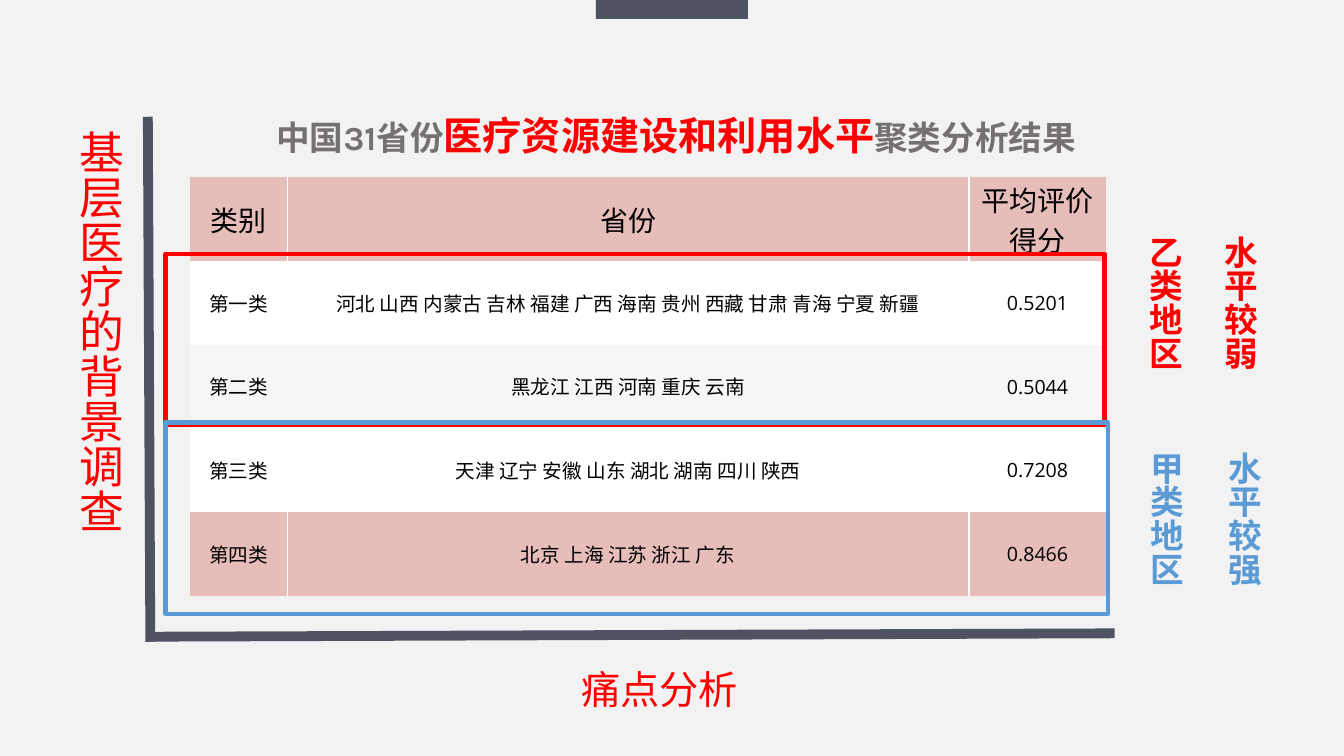
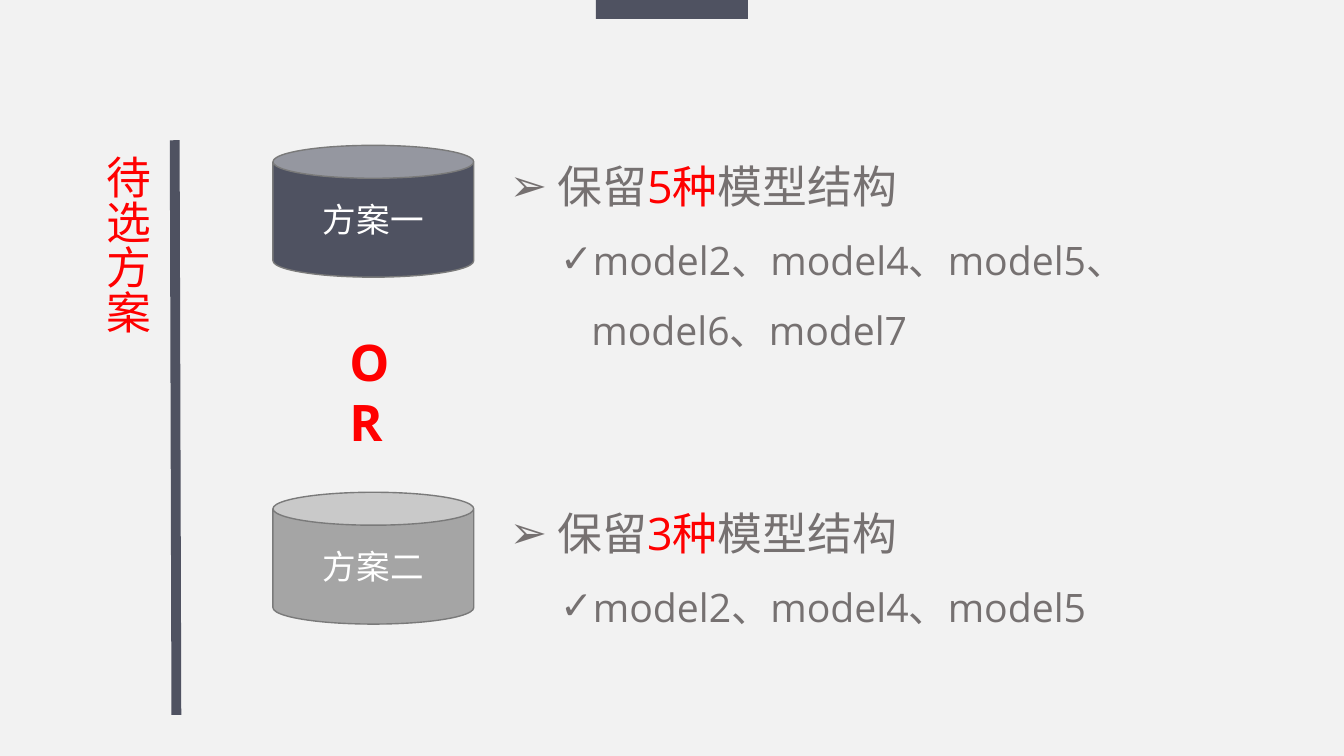
from lxml import etree
from pptx import Presentation
from pptx import util as u
from pptx.dml.color import RGBColor
from pptx.enum import shapes, text
from pptx.oxml import ns

SLATE = RGBColor(0x4F, 0x52, 0x61)
RED = RGBColor(0xFF, 0x00, 0x00)
BLUE = RGBColor(0x5B, 0x9B, 0xD5)
GREY = RGBColor(0x76, 0x71, 0x71)
SILVER = RGBColor(0xA5, 0xA5, 0xA5)
EDGE = RGBColor(0x7A, 0x7A, 0x7A)
ROSE = RGBColor(0xE7, 0xBD, 0xB9)
PALE = RGBColor(0xF6, 0xF6, 0xF6)
PAPER = RGBColor(0xF2, 0xF2, 0xF2)
WHITE = RGBColor(0xFF, 0xFF, 0xFF)
BLACK = RGBColor(0x00, 0x00, 0x00)
HAN = "Noto Sans CJK SC"
BODY = "Open Sans"
COLS, ROWS = 160, 90
PLAIN = "{2D5ABB26-0587-4C30-8999-92F81FD0307C}"
MID = text.PP_ALIGN.CENTER
LEFT = text.PP_ALIGN.LEFT


class Deck:
    """Hold the style and the current slide, on a grid of 160 columns by 90 rows."""

    def __init__(self):
        self.prs = Presentation()
        self.prs.slide_width = u.Inches(13.33)
        self.prs.slide_height = u.Inches(7.5)
        fill = self.prs.slide_master.background.fill
        fill.solid()
        fill.fore_color.rgb = PAPER

    def col(self, n):
        return round(self.prs.slide_width * n / COLS)

    def row(self, n):
        return round(self.prs.slide_height * n / ROWS)

    def area(self, x, y, w, h):
        return self.col(x), self.row(y), self.col(w), self.row(h)

    def page(self):
        self.slide = self.prs.slides.add_slide(self.prs.slide_layouts[6])
        wide = 18.1
        self.shape((COLS - wide) / 2, 0, wide, 2.25, fill=SLATE)

    def node(self, parent, tag, **attrs):
        return etree.SubElement(parent, ns.qn(tag), attrs)

    def run(self, para, words, size, color, font=BODY, bold=False):
        run = para.add_run()
        run.text = words
        run.font.size = u.Pt(size)
        run.font.bold = bold
        run.font.color.rgb = color
        run.font.name = font
        self.node(run.font._element, "a:ea", typeface=HAN)

    def shape(self, x, y, w, h, kind=shapes.MSO_SHAPE.RECTANGLE,
              fill=None, line=None, width=1):
        item = self.slide.shapes.add_shape(kind, *self.area(x, y, w, h))
        item.shadow.inherit = False
        if fill is None:
            item.fill.background()
        else:
            item.fill.solid()
            item.fill.fore_color.rgb = fill
        if line is None:
            item.line.fill.background()
        else:
            item.line.color.rgb = line
            item.line.width = u.Pt(width)
        return item

    def can(self, x, y, words, fill):
        item = self.shape(x, y, 23.9, 15.7, shapes.MSO_SHAPE.CAN, fill, EDGE)
        item.text_frame.vertical_anchor = text.MSO_ANCHOR.MIDDLE
        para = item.text_frame.paragraphs[0]
        para.alignment = MID
        self.run(para, words, 24, WHITE)

    def line(self, x1, y1, x2, y2):
        item = self.slide.shapes.add_connector(
            shapes.MSO_CONNECTOR.STRAIGHT,
            self.col(x1), self.row(y1), self.col(x2), self.row(y2))
        item.line.color.rgb = SLATE
        item.line.width = u.Pt(7)
        self.node(item._element.spPr, "a:effectLst")

    def frame(self, x, y, w, h, wrap=True):
        box = self.slide.shapes.add_textbox(*self.area(x, y, w, h))
        frame = box.text_frame
        frame.word_wrap = wrap
        frame.auto_size = text.MSO_AUTO_SIZE.SHAPE_TO_FIT_TEXT
        return frame

    def label(self, x, y, w, h, runs, align=LEFT, wrap=True, tall=False):
        frame = self.frame(x, y, w, h, wrap)
        if tall:
            frame._txBody.bodyPr.set("vert", "eaVert")
        para = frame.paragraphs[0]
        para.alignment = align
        for part in runs:
            self.run(para, *part)

    def title(self, x, y, words, align=LEFT):
        self.label(x, y, 8.9, 50.5, [(words, 32, RED, HAN)], align, tall=True)

    def tag(self, x, y, words, color):
        self.label(x, y, 7.2, 19.9, [(words, 24, color, "Arial", True)], tall=True)

    def bullet(self, para, mark, left):
        para.line_spacing = 1.5
        props = para._p.get_or_add_pPr()
        props.set("marL", str(u.Inches(left)))
        props.set("indent", str(u.Inches(-0.31)))
        self.node(props, "a:buFont", typeface="Arial")
        self.node(props, "a:buChar", char=mark)

    def plan(self, y, h, count, models):
        frame = self.frame(59.5, y, 80.5, h)
        head = frame.paragraphs[0]
        self.bullet(head, "➢", 0.31)
        for words, color in ((" 保留", GREY), (count, RED), ("模型结构", GREY)):
            self.run(head, words, 32, color)
        item = frame.add_paragraph()
        item.level = 1
        self.bullet(item, "✓", 0.81)
        self.run(item, "、".join(models), 28, GREY)

    def cell(self, cell, words, size, fill, sides):
        cell.fill.solid()
        cell.fill.fore_color.rgb = fill
        cell.vertical_anchor = text.MSO_ANCHOR.MIDDLE
        cell.margin_left = cell.margin_right = u.Inches(0.07)
        cell.margin_top = cell.margin_bottom = 0
        para = cell.text_frame.paragraphs[0]
        para.alignment = MID
        self.run(para, words, size, BLACK)
        props = cell._tc.get_or_add_tcPr()
        for spot, side in enumerate(sides):
            edge = self.node(props, side, w=str(u.Pt(1)))
            paint = self.node(edge, "a:solidFill")
            self.node(paint, "a:srgbClr", val=str(WHITE))
            props.insert(spot, edge)

    def table(self, x, y, widths, high, rows, fills):
        area = self.area(x, y, sum(widths), high * len(rows))
        grid = self.slide.shapes.add_table(len(rows), len(widths), *area).table
        grid.first_row = grid.horz_banding = False
        grid._tbl.tblPr.find(ns.qn("a:tableStyleId")).text = PLAIN
        for n, wide in enumerate(widths):
            grid.columns[n].width = self.col(wide)
        for r, (row, fill) in enumerate(zip(rows, fills)):
            grid.rows[r].height = self.row(high)
            for c, words in enumerate(row):
                sides = []
                if fill == ROSE and c > 0:
                    sides.append("a:lnL")
                if fill == ROSE and c < len(widths) - 1:
                    sides.append("a:lnR")
                self.cell(grid.cell(r, c), words, 14 if r else 20, fill, sides)


def groups(deck):
    """Draw the table of province groups."""
    deck.page()
    deck.label(68, 78.6, 21.1, 6.8, [("痛点分析", 28, RED, HAN)], MID, wrap=False)
    deck.label(30.4, 12.6, 100.2, 6.8, [
        ("中国31省份", 24, GREY, "Karla", True),
        ("医疗资源建设和利用水平", 28, RED, "Karla", True),
        ("聚类分析结果", 24, GREY, "Karla", True)], MID)
    deck.table(22.65, 21.1, (11.55, 81.15, 16.35), 9.96, [
        ("类别", "省份", "平均评价得分"),
        ("第一类", "河北 山西 内蒙古 吉林 福建 广西 海南 贵州 西藏 甘肃 青海 宁夏 新疆", "0.5201"),
        ("第二类", "黑龙江 江西 河南 重庆 云南", "0.5044"),
        ("第三类", "天津 辽宁 安徽 山东 湖北 湖南 四川 陕西", "0.7208"),
        ("第四类", "北京 上海 江苏 浙江 广东", "0.8466")],
        (ROSE, WHITE, PALE, WHITE, ROSE))
    deck.line(17.6, 13.9, 17.9, 76.4)
    deck.title(6.8, 14.3, "基层医疗的背景调查", MID)
    deck.line(17.6, 75.8, 132.7, 75.4)
    deck.shape(19.7, 30.2, 111.8, 20.4, line=RED, width=3)
    deck.shape(19.7, 50.3, 112.2, 22.8, line=BLUE, width=3)
    for x, y, words, color in (
            (134.5, 26.9, "乙类地区", RED), (134.6, 52.6, "甲类地区", BLUE),
            (143.4, 26.9, "水平较弱", RED), (143.9, 52.6, "水平较强", BLUE)):
        deck.tag(x, y, words, color)


def plans(deck):
    """Draw the two plans to choose from."""
    deck.page()
    deck.line(20.8, 16.7, 21, 85.1)
    deck.title(10, 17.3, "待选方案")
    for y, high, name, fill, count, nums in (
            (17.3, 27.8, "方案一", SLATE, "5种", (2, 4, 5, 6, 7)),
            (58.6, 18.4, "方案二", SILVER, "3种", (2, 4, 5))):
        deck.can(32.5, y, name, fill)
        deck.plan(y - 2.2, high, count, [f"model{n}" for n in nums])
    deck.label(40.4, 38.8, 8.2, 15.7, [("OR", 36, RED, BODY, True)])


def main():
    """Build and save the deck."""
    deck = Deck()
    groups(deck)
    plans(deck)
    deck.prs.save("out.pptx")


if __name__ == "__main__":
    main()
